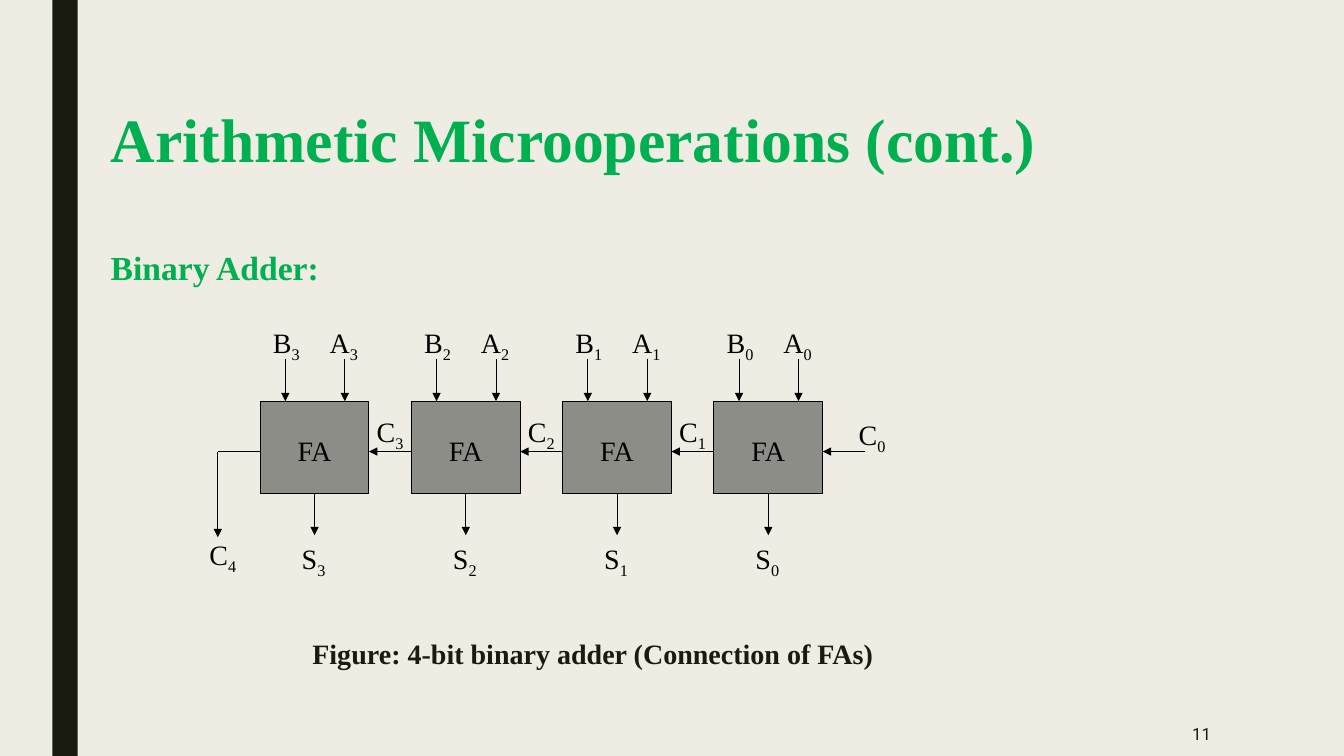
from lxml import etree
from pptx import Presentation
from pptx.dml.color import RGBColor
from pptx.enum.shapes import MSO_CONNECTOR, MSO_SHAPE
from pptx.enum.text import MSO_ANCHOR, PP_ALIGN
from pptx.oxml.ns import qn
from pptx.util import Pt

PX = 9144
RECT = MSO_SHAPE.RECTANGLE
STRAIGHT = MSO_CONNECTOR.STRAIGHT
LEFT, CENTER, RIGHT = PP_ALIGN.LEFT, PP_ALIGN.CENTER, PP_ALIGN.RIGHT
TOP, MIDDLE = MSO_ANCHOR.TOP, MSO_ANCHOR.MIDDLE
SERIF, SANS = "Times New Roman", "Roboto"
COLORS = {"paper": "EFEDE3", "ink": "191B0E", "green": "00B050",
          "gray": "8C8D86", "black": "000000"}

BITS = 4
PITCH = 150
ADDER_X, ADDER_Y, ADDER_W, ADDER_H = 258, 398, 108, 92
CARRY_Y = 448
CARRY_LEN = 42
LABEL_W, LABEL_H = 58, 44


class AdderSlide:
    """Draws styled elements on one slide, with lengths in hundredths of an inch."""

    def __init__(self, prs):
        self.s = prs.slides.add_slide(prs.slide_layouts[5])
        fill = self.s.background.fill
        fill.solid()
        fill.fore_color.rgb = self.color("paper")

    def color(self, name):
        return RGBColor.from_string(COLORS[name])

    def place(self, *lengths):
        return [n * PX for n in lengths]

    def font(self, p, size, color="black", bold=False, name=SERIF):
        f = p.font
        f.name, f.size, f.bold = name, Pt(size), bold
        f.color.rgb = self.color(color)

    def title(self, text, x, y, w, h):
        sp = self.s.shapes.title
        sp.left, sp.top, sp.width, sp.height = self.place(x, y, w, h)
        tf = sp.text_frame
        tf.word_wrap, tf.vertical_anchor = True, MIDDLE
        p = tf.paragraphs[0]
        p.text, p.alignment, p.line_spacing = text, LEFT, 0.89
        self.font(p, 44, "green", True)

    def text(self, text, x, y, w, h, size, align=LEFT, anchor=TOP, **style):
        tf = self.s.shapes.add_textbox(*self.place(x, y, w, h)).text_frame
        tf.word_wrap, tf.vertical_anchor = True, anchor
        p = tf.paragraphs[0]
        p.text, p.alignment = text, align
        self.font(p, size, **style)
        return p

    def label(self, letter, index, x, y):
        p = self.text(letter, x, y, LABEL_W, LABEL_H, 20, CENTER)
        r = p.add_run()
        r.text = str(index)
        r._r.get_or_add_rPr().set("baseline", "-25000")

    def box(self, x, y, w, h, fill, outline=None):
        sp = self.s.shapes.add_shape(RECT, *self.place(x, y, w, h))
        sp.shadow.inherit = False
        sp.fill.solid()
        sp.fill.fore_color.rgb = self.color(fill)
        if outline:
            sp.line.color.rgb = self.color(outline)
            sp.line.width = Pt(0.75)
        else:
            sp.line.fill.background()
        return sp

    def adder(self, x):
        sp = self.box(x, ADDER_Y, ADDER_W, ADDER_H, "gray", "black")
        tf = sp.text_frame
        tf.vertical_anchor = MIDDLE
        tf.margin_top, tf.margin_bottom = self.place(6, 0)
        p = tf.paragraphs[0]
        p.text, p.alignment = "FA", CENTER
        self.font(p, 20)
        return sp

    def wire(self, x1, y1, x2, y2, arrow=True, start=None):
        line = self.s.shapes.add_connector(STRAIGHT, *self.place(x1, y1, x2, y2))
        if start:
            line.begin_connect(start, 2)
        line.line.color.rgb = self.color("black")
        line.line.width = Pt(0.75)
        if arrow:
            etree.SubElement(line.line._get_or_add_ln(), qn("a:tailEnd"), type="triangle")
        etree.SubElement(line._element.spPr, qn("a:effectLst"))

    def stage(self, bit):
        x = ADDER_X + (BITS - 1 - bit) * PITCH
        right, bottom = x + ADDER_W, ADDER_Y + ADDER_H
        sp = self.adder(x)
        for letter, dx in (("B", 25), ("A", 84)):
            self.wire(x + dx, 356, x + dx, ADDER_Y)
        self.label("B", bit, x - 3, 318)
        self.label("A", bit, x + 54, 318)
        self.wire(right + CARRY_LEN, CARRY_Y, right, CARRY_Y)
        middle = x + ADDER_W // 2
        self.wire(middle, bottom, middle, 531, start=sp)
        self.label("S", bit, x + 24, 532)
        if bit:
            self.label("C", bit, x + 100, 406)


def main():
    prs = Presentation()
    prs.slide_width, prs.slide_height = 1333 * PX, 750 * PX
    slide = AdderSlide(prs)
    slide.box(52, 0, 25, 750, "ink")
    slide.title("Arithmetic Microoperations (cont.)", 100, 102, 938, 80)
    slide.text("Binary Adder:", 100, 240, 400, 50, 24, color="green", bold=True)
    for bit in range(BITS):
        slide.stage(bit)
    carry_x = ADDER_X - CARRY_LEN
    slide.wire(ADDER_X, CARRY_Y, carry_x, CARRY_Y, arrow=False)
    slide.wire(carry_x, CARRY_Y, carry_x, 533)
    slide.label("C", 0, 836, 409)
    slide.label("C", BITS, 192, 528)
    slide.text("Figure: 4-bit binary adder (Connection of FAs)", 300, 627, 600, 44, 20,
               color="ink", bold=True)
    slide.text("11", 1036, 706, 175, 44, 12, RIGHT, MIDDLE, color="ink", name=SANS)
    prs.save("out.pptx")


if __name__ == "__main__":
    main()
